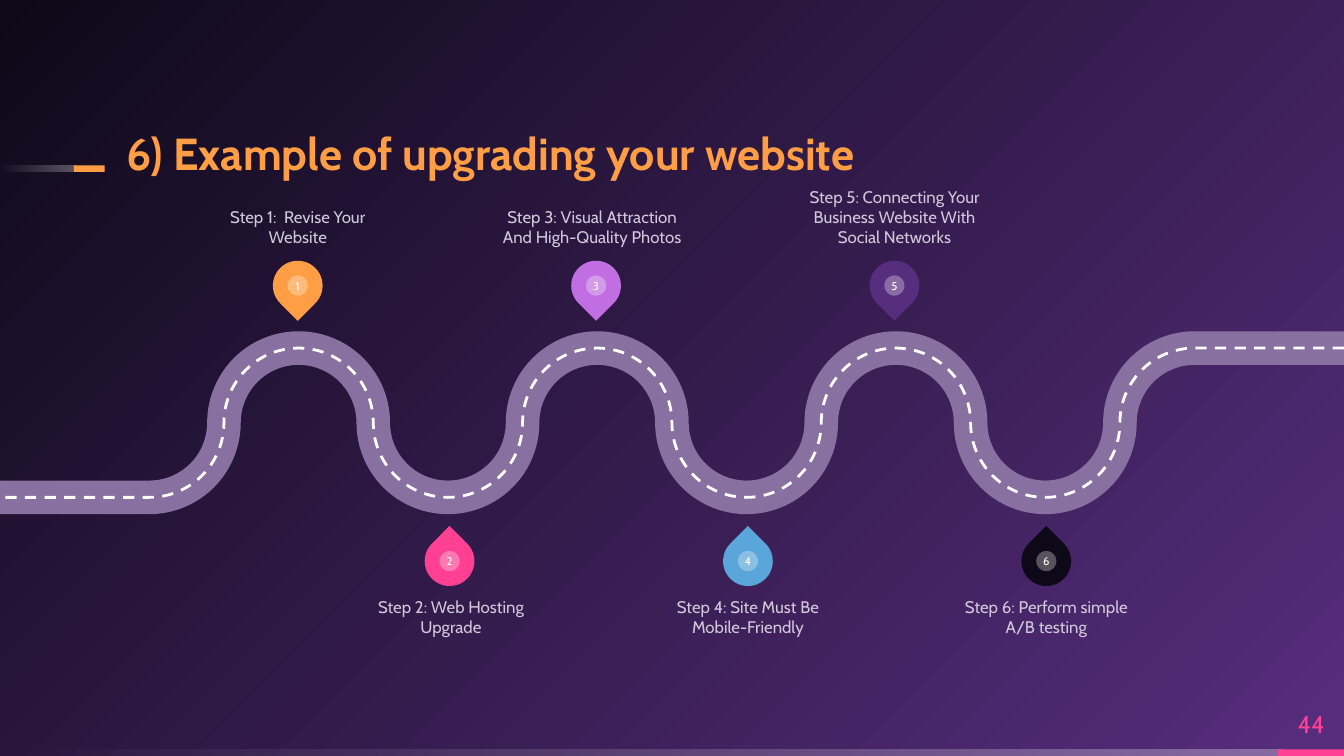
from lxml import etree
from pptx import Presentation
from pptx.dml.color import RGBColor
from pptx.enum.dml import MSO_LINE
from pptx.enum.shapes import MSO_SHAPE
from pptx.enum.text import MSO_ANCHOR, PP_ALIGN
from pptx.oxml.ns import qn
from pptx.util import Inches, Pt

RECT, OVAL, TEARDROP = MSO_SHAPE.RECTANGLE, MSO_SHAPE.OVAL, MSO_SHAPE.TEAR
TOP, MIDDLE, BOTTOM = MSO_ANCHOR.TOP, MSO_ANCHOR.MIDDLE, MSO_ANCHOR.BOTTOM
LEFT, CENTER = PP_ALIGN.LEFT, PP_ALIGN.CENTER
DASH = MSO_LINE.DASH

FONT = "Cabin"
WHITE = RGBColor(0xFF, 0xFF, 0xFF)
ORANGE = RGBColor(0xFF, 0x9E, 0x44)
PINK = RGBColor(0xFF, 0x40, 0x93)
ORCHID = RGBColor(0xC0, 0x6E, 0xE2)
BLUE = RGBColor(0x5A, 0xA5, 0xDA)
PURPLE = RGBColor(0x57, 0x2D, 0x7E)
NIGHT = RGBColor(0x0E, 0x09, 0x18)
ROAD = RGBColor(0x88, 0x70, 0xA0)
LABEL = RGBColor(0xD1, 0xC8, 0xDA)

SLIDE_W, SLIDE_H = 10, 10 * 9 / 16
BEND_RADIUS = SLIDE_W / 18
PIN_SIZE, BADGE_SIZE = 0.37, 0.15
LABEL_W, LABEL_H = 1.41, 0.58
WAVE_STEP = 2.22

# Number, text, colour, left edge of the label
UPPER_STEPS = [
    ("1", "Step 1:  Revise Your Website", ORANGE, 1.51),
    ("3", "Step 3: Visual Attraction And High-Quality Photos", ORCHID, 3.7),
    ("5", "Step 5: Connecting Your Business Website With Social Networks", PURPLE, 5.95),
]
LOWER_STEPS = [
    ("2", "Step 2: Web Hosting Upgrade", PINK, 2.65),
    ("4", "Step 4: Site Must Be Mobile-Friendly", BLUE, 4.86),
    ("6", "Step 6: Perform simple A/B testing", NIGHT, 7.08),
]


def box(left, top, width, height):
    return Inches(left), Inches(top), Inches(width), Inches(height)


def set_alpha(color_element, percent):
    etree.SubElement(color_element, qn("a:alpha"), val=str(percent * 1000))


def write(shape, text, size, color, anchor=MIDDLE, align=CENTER, wrap=True):
    frame = shape.text_frame
    frame.word_wrap = wrap
    frame.vertical_anchor = anchor
    frame.margin_left = frame.margin_top = frame.margin_right = frame.margin_bottom = 0
    paragraph = frame.paragraphs[0]
    paragraph.text = text
    paragraph.alignment = align
    paragraph.font.name = FONT
    paragraph.font.size = Pt(size)
    paragraph.font.color.rgb = color
    return paragraph


def add_filled(shapes, preset, bounds, color):
    shape = shapes.add_shape(preset, *box(*bounds))
    shape.shadow.inherit = False
    shape.line.fill.background()
    shape.fill.solid()
    shape.fill.fore_color.rgb = color
    return shape


def add_fading_bar(shapes, bounds):
    """White bar that fades out towards its left end."""
    bar = add_filled(shapes, RECT, bounds, WHITE)
    bar.fill.gradient()
    bar.fill.gradient_angle = 180
    for stop in bar.fill.gradient_stops:
        stop.color.rgb = WHITE
    for color, percent in zip(bar._element.spPr.iter(qn("a:srgbClr")), (30, 0)):
        set_alpha(color, percent)


def paint_background(slide):
    """Circular gradient centred on the bottom right corner."""
    fill = slide.background.fill
    fill.gradient()
    for stop, color in zip(fill.gradient_stops, (PURPLE, NIGHT)):
        stop.color.rgb = color
    gradient = slide._element.find(".//" + qn("a:gradFill"))
    gradient.remove(gradient.find(qn("a:lin")))
    circle = etree.SubElement(gradient, qn("a:path"), path="circle")
    etree.SubElement(circle, qn("a:fillToRect"), l="100000", t="100000")


def add_heading(slide, left, top, text):
    add_fading_bar(slide.shapes, (left, top + 0.32, 0.56, 0.05))
    add_filled(slide.shapes, RECT, (left + 0.55, top + 0.32, 0.23, 0.05), ORANGE)
    title = slide.shapes.add_textbox(*box(left + 0.94, top, 5.8, 0.43))
    paragraph = write(title, text, 24, ORANGE, BOTTOM, LEFT)
    paragraph.font.bold = True
    paragraph.line_spacing = 0.9


def add_footer(slide, number):
    bar_h, number_w, number_h = 0.05, 0.49, 0.38
    bar_top = SLIDE_H - bar_h
    number_left = SLIDE_W - number_w
    add_fading_bar(slide.shapes, (0, bar_top, 9.54, bar_h))
    add_filled(slide.shapes, RECT, (number_left, bar_top, number_w, bar_h), PINK)
    page = slide.shapes.add_textbox(*box(number_left, bar_top - number_h, number_w, number_h))
    write(page, number, 13, PINK)


def add_road(slide, top, color, width, dash=None):
    """Winding line from the right edge to the left, made of quarter circles."""
    levels = [0, 1, 2, 1]
    bends = 14
    first_x = SLIDE_W - 2 * BEND_RADIUS
    points = [
        (Inches(first_x - i * BEND_RADIUS), Inches(top + levels[i % 4] * BEND_RADIUS))
        for i in range(bends + 1)
    ]
    builder = slide.shapes.build_freeform(Inches(SLIDE_W), Inches(top))
    builder.add_line_segments(points + [(0, points[-1][1])], close=False)
    road = builder.convert_to_shape()
    road.shadow.inherit = False
    road.fill.background()
    road.line.color.rgb = color
    road.line.width = Pt(width)
    if dash:
        road.line.dash_style = dash

    # Start angle and sweep of the four bends in a wave
    turns = [(270, -90), (0, 90), (90, 90), (0, -90)]
    outline = road._element.find(".//" + qn("a:path"))
    radius = str(Inches(BEND_RADIUS))
    for i, segment in enumerate(outline.findall(qn("a:lnTo"))[1:-1]):
        start, sweep = turns[i % 4]
        arc = etree.Element(qn("a:arcTo"), wR=radius, hR=radius,
                            stAng=str(start * 60000), swAng=str(sweep * 60000))
        outline.replace(segment, arc)


def add_pin(slide, left, top, number, color, rotation):
    pin = slide.shapes.add_group_shape().shapes
    drop = add_filled(pin, TEARDROP, (left, top, PIN_SIZE, PIN_SIZE), color)
    drop.rotation = rotation
    inset = (PIN_SIZE - BADGE_SIZE) / 2
    badge = add_filled(pin, OVAL, (left + inset, top + inset, BADGE_SIZE, BADGE_SIZE), WHITE)
    set_alpha(badge._element.spPr.find(".//" + qn("a:srgbClr")), 30)
    write(badge, number, 6, WHITE, wrap=False)


def add_steps(slide, steps, left, pin_top, label_top, rotation, anchor):
    for i, (number, text, color, label_left) in enumerate(steps):
        add_pin(slide, left + i * WAVE_STEP, pin_top, number, color, rotation)
        label = slide.shapes.add_textbox(*box(label_left, label_top, LABEL_W, LABEL_H))
        write(label, text, 9, LABEL, anchor)


def main():
    prs = Presentation()
    prs.slide_width, prs.slide_height = Inches(SLIDE_W), Inches(SLIDE_H)
    slide = prs.slides.add_slide(prs.slide_layouts[6])
    paint_background(slide)
    add_footer(slide, "44")
    add_heading(slide, 0, 0.91, "6) Example of upgrading your website")
    add_road(slide, 2.59, ROAD, 18)
    add_road(slide, 2.59, WHITE, 1.5, DASH)
    add_steps(slide, UPPER_STEPS, 2.03, 1.94, 1.26, 135, BOTTOM)
    add_steps(slide, LOWER_STEPS, 3.16, 3.99, 4.44, 315, TOP)
    prs.save("out.pptx")


if __name__ == "__main__":
    main()
